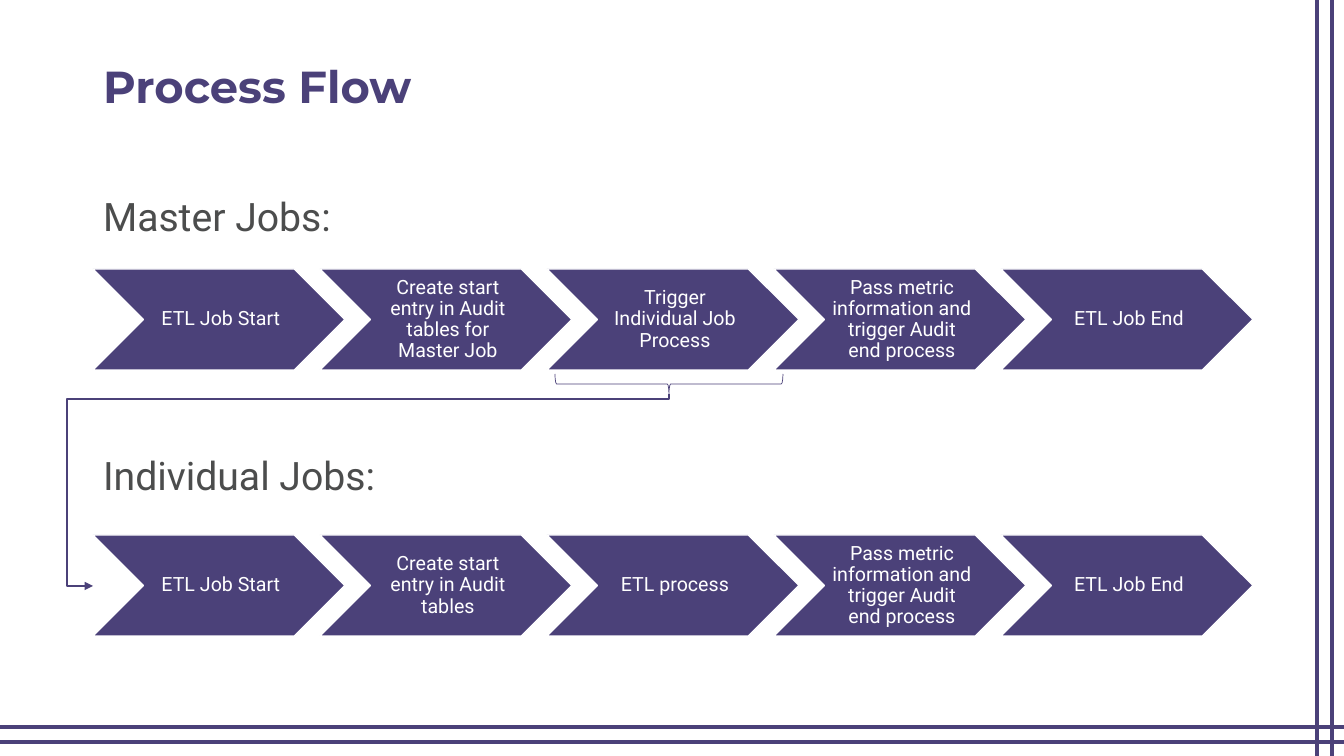
import pptx
import pptx.util
import pptx.dml.color
import pptx.enum.shapes
import pptx.enum.text
import pptx.oxml.ns
import lxml.etree

# Content
TITLE = "Process Flow"
FLOWS = [
    # heading, heading top, chevron top, steps
    ("Master Jobs:", 193, 269, [
        "ETL Job Start",
        "Create start entry in Audit tables for Master Job",
        "Trigger Individual Job Process",
        "Pass metric information and trigger Audit end process",
        "ETL Job End",
    ]),
    ("Individual Jobs:", 452, 535, [
        "ETL Job Start",
        "Create start entry in Audit tables",
        "ETL process",
        "Pass metric information and trigger Audit end process",
        "ETL Job End",
    ]),
]
PURPLE, GREY, WHITE = "4B4179", "4C4D4D", "FFFFFF"

# Layout, in px
SLIDE_W, SLIDE_H = 1344, 756
LEFT = 93
STEP_W, STEP_H, STEP_PITCH = 252, 101, 227
FRAME_X, FRAME_Y = (1317, 1332), (727, 742)
BRACE = (659, 270, 20, 228)
LINK_START, LINK_END = (669, 394), (93, 586)
LINK_DROP_Y, LINK_LEFT_X = 399, 67

SHAPE = pptx.enum.shapes.MSO_SHAPE
ALIGN = pptx.enum.text.PP_ALIGN
ANCHOR = pptx.enum.text.MSO_ANCHOR


def px(n):
    return pptx.util.Emu(round(n * 914400 / 100.8))


def rgb(color):
    return pptx.dml.color.RGBColor.from_string(color)


def add_xml(parent, tag, **attrs):
    return lxml.etree.SubElement(parent, pptx.oxml.ns.qn(tag), attrs)


def place(sp, left, top, width, height):
    sp.left, sp.top, sp.width, sp.height = map(px, (left, top, width, height))


def write(sp, text, size, color, font, align, anchor, bold=False):
    tf = sp.text_frame
    tf.text = text
    tf.word_wrap = True
    tf.auto_size = pptx.enum.text.MSO_AUTO_SIZE.NONE
    tf.vertical_anchor = anchor
    p = tf.paragraphs[0]
    p.alignment, p.line_spacing, p.space_before = align, 0.9, pptx.util.Pt(0)
    f = p.runs[0].font
    f.name, f.size, f.bold = font, pptx.util.Pt(size), bold
    f.color.rgb = rgb(color)


def add_line(kind, x1, y1, x2, y2, width):
    line = slide.shapes.add_connector(kind, px(x1), px(y1), px(x2), px(y2))
    line.line.color.rgb = rgb(PURPLE)
    line.line.width = pptx.util.Pt(width)
    add_xml(line._element.spPr, "a:effectLst")
    return line


def add_step(text, left, top):
    sp = slide.shapes.add_shape(SHAPE.CHEVRON, px(left), px(top), px(STEP_W), px(STEP_H))
    sp.shadow.inherit = False
    sp.fill.solid()
    sp.fill.fore_color.rgb = rgb(PURPLE)
    sp.line.color.rgb = rgb(WHITE)
    sp.line.width = pptx.util.Pt(1)
    write(sp, text, 14, WHITE, "Roboto", ALIGN.CENTER, ANCHOR.MIDDLE)
    tf = sp.text_frame
    tf.margin_left = px(6)
    tf.margin_right = tf.margin_top = tf.margin_bottom = px(2)


prs = pptx.Presentation()
prs.slide_width, prs.slide_height = px(SLIDE_W), px(SLIDE_H)
slide = prs.slides.add_slide(prs.slide_layouts.get_by_name("Two Content"))

# Double frame lines at the right and bottom
STRAIGHT = pptx.enum.shapes.MSO_CONNECTOR.STRAIGHT
for x in FRAME_X:
    add_line(STRAIGHT, x, 0, x, SLIDE_H, 2.25)
for y in FRAME_Y:
    add_line(STRAIGHT, 0, y, SLIDE_W, y, 2.25)

# Title
title, *headings = slide.placeholders
place(title, LEFT, 45, 1159, 87)
write(title, TITLE, 32, PURPLE, "Montserrat", ALIGN.LEFT, ANCHOR.MIDDLE, bold=True)

# Headings and chevron rows
for sp, (heading, heading_top, row_top, steps) in zip(headings, FLOWS):
    place(sp, LEFT, heading_top, 321, 56)
    write(sp, heading, 28, GREY, "Roboto", ALIGN.LEFT, ANCHOR.TOP)
    pPr = sp.text_frame.paragraphs[0]._p.get_or_add_pPr()
    pPr.set("marL", "0")
    pPr.set("indent", "0")
    add_xml(pPr, "a:buNone")
    for i, step in enumerate(steps):
        add_step(step, LEFT + i * STEP_PITCH, row_top)

# Brace below the trigger step
brace = slide.shapes.add_shape(SHAPE.LEFT_BRACE, *map(px, BRACE))
brace.rotation = 270
brace.shadow.inherit = False
brace.fill.background()
brace.line.color.rgb = rgb(PURPLE)
brace.line.width = pptx.util.Pt(0.5)

# Elbow arrow to the individual jobs: its box is turned by 90 degrees
(x1, y1), (x2, y2) = LINK_START, LINK_END
run, drop = x1 - x2, y2 - y1
left, top = (x1 + x2 - drop) / 2, (y1 + y2 - run) / 2
link = add_line(pptx.enum.shapes.MSO_CONNECTOR.ELBOW,
                left, top, left + drop, top + run, 1)
spPr = link._element.spPr
spPr.find(pptx.oxml.ns.qn("a:xfrm")).set("rot", str(90 * 60000))
geom = spPr.find(pptx.oxml.ns.qn("a:prstGeom"))
geom.set("prst", "bentConnector4")
guides = geom.find(pptx.oxml.ns.qn("a:avLst"))
bends = {"adj1": (LINK_DROP_Y - y1) / drop, "adj2": (x1 - LINK_LEFT_X) / run}
for name, share in bends.items():
    add_xml(guides, "a:gd", name=name, fmla=f"val {round(share * 100000)}")
add_xml(spPr.find(pptx.oxml.ns.qn("a:ln")), "a:tailEnd", type="triangle")

prs.save("out.pptx")
